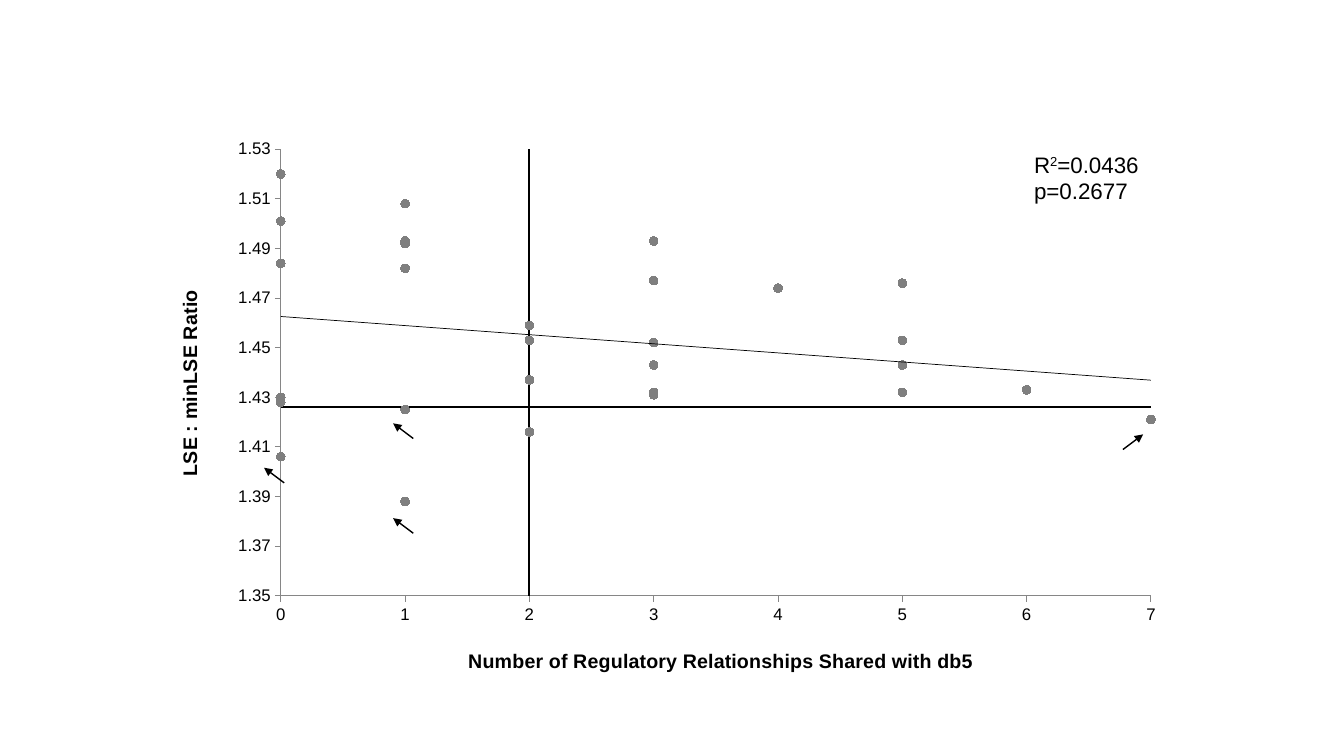
from typing import NamedTuple

from lxml.etree import SubElement
from pptx import Presentation
from pptx.chart.data import XyChartData
from pptx.dml.color import RGBColor
from pptx.enum.chart import XL_CHART_TYPE, XL_MARKER_STYLE, XL_TICK_MARK
from pptx.enum.shapes import MSO_CONNECTOR
from pptx.enum.text import MSO_AUTO_SIZE
from pptx.oxml import parse_xml
from pptx.oxml.ns import nsdecls, qn
from pptx.util import Pt

COLORS = {"ink": "000000", "marker": "7F7F7F", "axis": "868686"}
FONT = "Arial"
CHART_LEFT, CHART_TOP, CHART_WIDTH, CHART_HEIGHT = 120, 92, 720, 396

# (shared regulatory relationships, LSE : minLSE ratio); None is the baseline itself
RATIOS = [
    (1, 1.388), (0, 1.406), (2, 1.416), (7, 1.421), (1, 1.425), (None, 1.426),
    (0, 1.428), (0, 1.43), (3, 1.431), (3, 1.431), (3, 1.432), (5, 1.432),
    (6, 1.433), (2, 1.437), (5, 1.443), (3, 1.443), (3, 1.452), (5, 1.453),
    (2, 1.453), (2, 1.459), (4, 1.474), (5, 1.476), (3, 1.477), (1, 1.482),
    (0, 1.484), (1, 1.492), (1, 1.493), (3, 1.493), (0, 1.501), (1, 1.508),
    (0, 1.52),
]
SERIES = {
    "Series 1": RATIOS,
    "Series 2": [(2, 0), (2, 1.6)],
    "Series 3": [(0, 1.426), (8, 1.426)],
}


class Arrow(NamedTuple):
    tail_x: float
    tail_y: float
    run: float


ARROW_RISE = 10.8
ARROWS = [
    Arrow(295.2, 380.9, -14.4),
    Arrow(295.2, 313.2, -14.4),
    Arrow(203, 344.9, -14.4),
    Arrow(802.1, 321.1, 14.4),
]


class AxisDesign(NamedTuple):
    title: str
    title_left: float
    title_top: float
    rotation: int
    minimum: float
    maximum: float
    step: float
    number_format: str


X_AXIS = AxisDesign("Number of Regulatory Relationships Shared with db5",
                    211.9, 368.3, 0, 0, 7, 1, "0")
Y_AXIS = AxisDesign("LSE : minLSE Ratio", 3.8, 112.8, -5400000, 1.35, 1.53, 0.02, "0.00")


def color(name: str) -> RGBColor:
    return RGBColor.from_string(COLORS[name])


def add_text(paragraph, text: str, *, size: float, bold: bool = False,
             superscript: bool = False) -> None:
    run = paragraph.add_run()
    run.text = text
    run.font.name = FONT
    run.font.size = Pt(size)
    run.font.bold = bold
    run.font.color.rgb = color("ink")
    if superscript:
        run.font._element.set("baseline", "30000")


def style_line(line, color_name: str, width: float) -> None:
    line.color.rgb = color(color_name)
    line.width = Pt(width)


def place(part, left: float, top: float, width: float = 0, height: float = 0) -> None:
    """Fix a chart part at a place given in points from the chart's corner."""
    for old in part.findall(qn("c:layout")):
        part.remove(old)
    layout = parse_xml(f"<c:layout {nsdecls('c')}/>")
    text = part.find(qn("c:tx"))
    if text is None:
        part.insert(0, layout)
    else:
        text.addnext(layout)
    manual = SubElement(layout, qn("c:manualLayout"))
    settings = {"xMode": "edge", "yMode": "edge",
                "x": left / CHART_WIDTH, "y": top / CHART_HEIGHT}
    if width:
        settings = {"layoutTarget": "inner", **settings,
                    "w": width / CHART_WIDTH, "h": height / CHART_HEIGHT}
    for tag, value in settings.items():
        SubElement(manual, qn(f"c:{tag}")).set("val", str(value))


def style_axis(axis, design: AxisDesign) -> None:
    axis.minimum_scale, axis.maximum_scale = design.minimum, design.maximum
    axis.major_unit = design.step
    axis.has_major_gridlines = False
    axis.major_tick_mark = XL_TICK_MARK.OUTSIDE
    axis.minor_tick_mark = XL_TICK_MARK.NONE
    style_line(axis.format.line, "axis", 0.75)
    labels = axis.tick_labels
    labels.number_format = design.number_format
    labels.number_format_is_linked = False
    labels.font.name = FONT
    labels.font.size = Pt(12)
    labels.font.color.rgb = color("ink")
    frame = axis.axis_title.text_frame
    add_text(frame.paragraphs[0], design.title, size=14, bold=True)
    body = frame._txBody.find(qn("a:bodyPr"))
    body.set("rot", str(design.rotation))
    body.set("vert", "horz")
    place(axis.axis_title._element, design.title_left, design.title_top)


def drop_missing_x(series) -> None:
    for point in list(series._element.find(qn("c:xVal")).iter(qn("c:pt"))):
        if point.find(qn("c:v")).text in (None, "", "None"):
            point.getparent().remove(point)


def add_trend_line(series) -> None:
    trend = parse_xml(
        f'<c:trendline {nsdecls("c", "a")}><c:spPr><a:ln w="{Pt(0.5)}"><a:solidFill>'
        f'<a:srgbClr val="{COLORS["ink"]}"/></a:solidFill></a:ln></c:spPr>'
        '<c:trendlineType val="linear"/><c:dispRSqr val="0"/><c:dispEq val="0"/>'
        "</c:trendline>")
    series._element.find(qn("c:xVal")).addprevious(trend)


def add_ratio_chart(slide) -> None:
    data = XyChartData()
    for name, pairs in SERIES.items():
        series = data.add_series(name)
        for x, y in pairs:
            series.add_data_point(x, y)
    chart = slide.shapes.add_chart(
        XL_CHART_TYPE.XY_SCATTER, Pt(CHART_LEFT), Pt(CHART_TOP),
        Pt(CHART_WIDTH), Pt(CHART_HEIGHT), data).chart
    chart.has_legend = False
    chart.has_title = False
    chart.font.name = "Calibri"
    chart.font.size = Pt(10)
    chart.font.color.rgb = color("ink")
    plot = chart.plots[0]
    plot.vary_by_categories = False
    style_axis(chart.category_axis, X_AXIS)
    style_axis(chart.value_axis, Y_AXIS)
    place(chart._chartSpace.chart.plotArea, 80.6, 14.6, 621.6, 319)

    ratios, *references = plot.series
    drop_missing_x(ratios)
    ratios.format.line.fill.background()
    ratios.marker.style = XL_MARKER_STYLE.CIRCLE
    ratios.marker.size = 6
    ratios.marker.format.fill.solid()
    ratios.marker.format.fill.fore_color.rgb = color("marker")
    ratios.marker.format.line.fill.background()
    add_trend_line(ratios)
    for reference in references:
        style_line(reference.format.line, "ink", 1.5)
        reference.marker.style = XL_MARKER_STYLE.NONE


def add_fit_statistics(slide) -> None:
    frame = slide.shapes.add_textbox(Pt(731.5), Pt(104.1), Pt(93), Pt(46)).text_frame
    frame.word_wrap = True
    frame.auto_size = MSO_AUTO_SIZE.SHAPE_TO_FIT_TEXT
    r_squared = frame.paragraphs[0]
    add_text(r_squared, "R", size=16)
    add_text(r_squared, "2", size=16, superscript=True)
    add_text(r_squared, "=0.0436", size=16)
    add_text(frame.add_paragraph(), "p=0.2677", size=16)


def add_arrow(slide, arrow: Arrow) -> None:
    pointer = slide.shapes.add_connector(
        MSO_CONNECTOR.STRAIGHT, Pt(arrow.tail_x), Pt(arrow.tail_y),
        Pt(arrow.tail_x + arrow.run), Pt(arrow.tail_y - ARROW_RISE))
    style_line(pointer.line, "ink", 1)
    SubElement(pointer.line._get_or_add_ln(), qn("a:tailEnd")).set("type", "triangle")
    SubElement(pointer._element.spPr, qn("a:effectLst"))


def main() -> None:
    presentation = Presentation()
    presentation.slide_width, presentation.slide_height = Pt(960), Pt(540)
    slide = presentation.slides.add_slide(presentation.slide_layouts[6])
    add_ratio_chart(slide)
    add_fit_statistics(slide)
    for arrow in ARROWS:
        add_arrow(slide, arrow)
    presentation.save("out.pptx")


if __name__ == "__main__":
    main()
